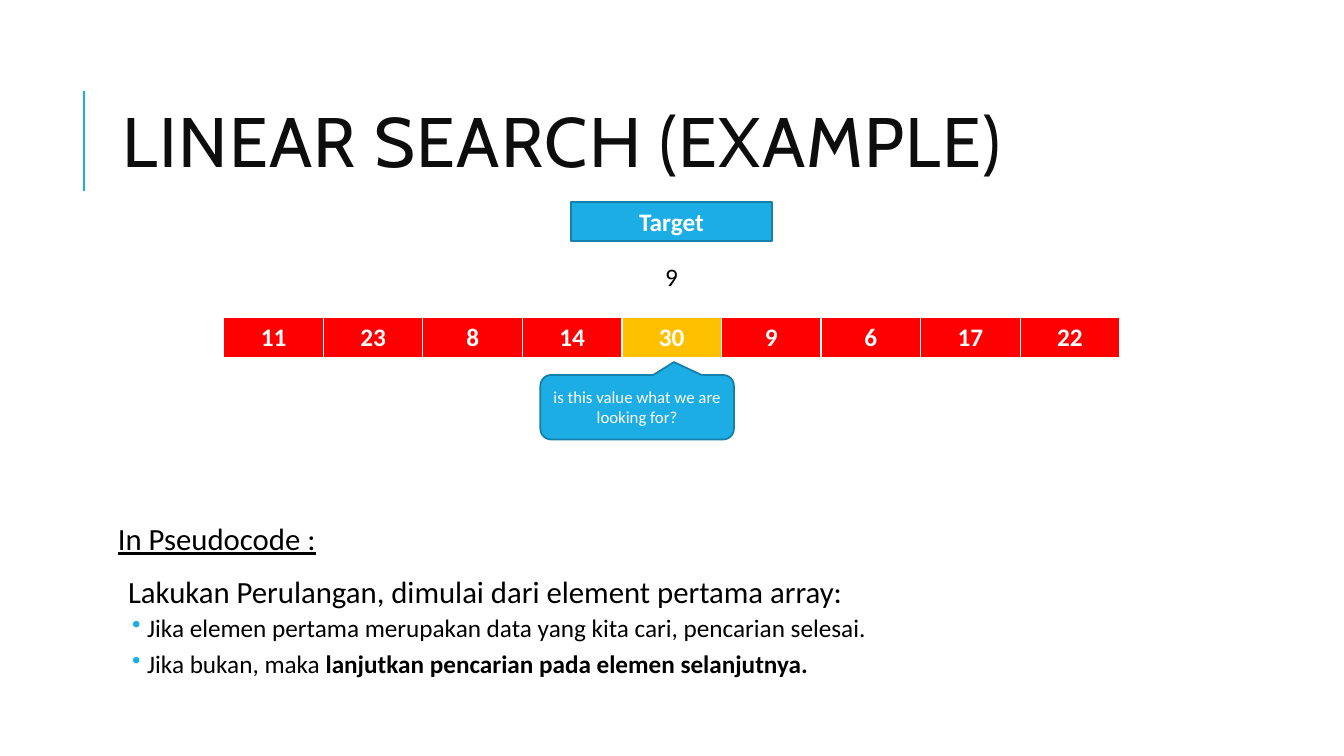
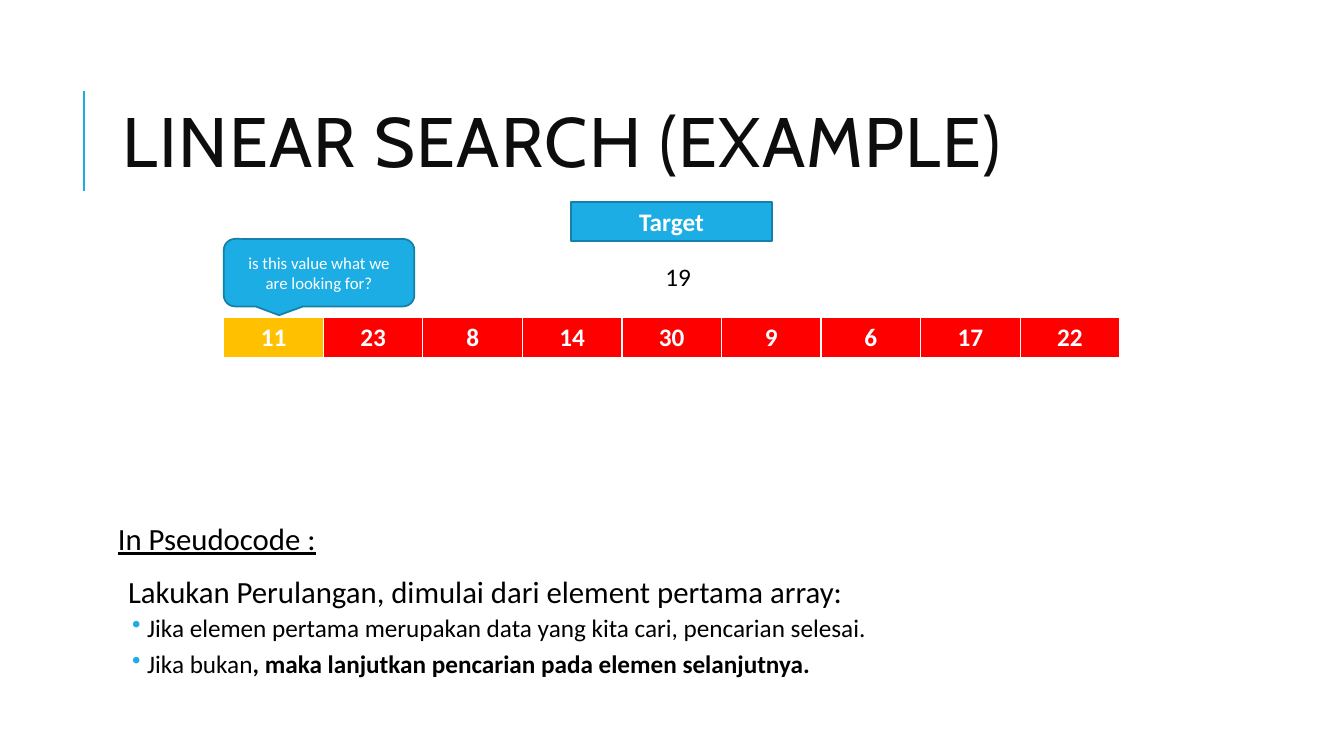
from dataclasses import dataclass

from lxml import etree
from pptx import Presentation
from pptx import util as u
from pptx.dml.color import RGBColor
from pptx.enum import shapes, text
from pptx.oxml import ns


@dataclass(frozen=True)
class Theme:
    width: float = 13.33
    height: float = 7.5
    heading_font: str = "Cabin"
    body_font: str = "Calibri"
    accent: str = "1CADE4"
    outline: str = "1580A9"
    heading: str = "0D0D0D"
    ink: str = "000000"
    paper: str = "FFFFFF"
    cell: str = "FF0000"
    current: str = "FFC000"
    title_size: int = 50
    lead_size: int = 22
    text_size: int = 18
    note_size: int = 12


@dataclass(frozen=True)
class Step:
    target: str
    current: int
    callout_area: tuple
    callout_tip: tuple
    last_rule: tuple


THEME = Theme()
VALUES = ("11", "23", "8", "14", "30", "9", "6", "17", "22")
STEPS = (
    Step("9", 4, (40.21, 49.6, 14.4, 8.53), (0.19, -0.7),
         ("Jika bukan, maka ", "lanjutkan pencarian pada elemen selanjutnya.")),
    Step("19", 0, (16.65, 31.6, 14.18, 8.93), (-0.21, 0.63),
         ("Jika bukan", ", maka lanjutkan pencarian pada elemen selanjutnya.")),
)


def across(percent):
    return u.Inches(THEME.width * percent / 100)


def down(percent):
    return u.Inches(THEME.height * percent / 100)


def place(left, top, width, height):
    return across(left), down(top), across(width), down(height)


def add_run(paragraph, words, size, color, bold=False, underline=False, font=THEME.body_font):
    run = paragraph.add_run()
    run.text = words
    run.font.name = font
    run.font.size = u.Pt(size)
    run.font.color.rgb = RGBColor.from_string(color)
    run.font.bold = bold
    run.font.underline = underline
    return run


def add_text_box(slide, area):
    frame = slide.shapes.add_textbox(*place(*area)).text_frame
    frame.word_wrap = True
    return frame


def add_title(slide, words):
    line = slide.shapes.add_connector(
        shapes.MSO_CONNECTOR.STRAIGHT, across(6.23), down(25.33), across(6.23), down(12))
    line.line.color.rgb = RGBColor.from_string(THEME.accent)
    line.line.width = u.Pt(1.5)
    etree.SubElement(line._element.spPr, ns.qn("a:effectLst"))

    frame = add_text_box(slide, (8.4, 8.53, 79.74, 21.87))
    frame.vertical_anchor = text.MSO_ANCHOR.MIDDLE
    paragraph = frame.paragraphs[0]
    paragraph.line_spacing = 0.8
    run = add_run(paragraph, words, THEME.title_size, THEME.heading, font=THEME.heading_font)
    run.font._element.set("spc", "100")


def add_filled_shape(slide, kind, area, words, size, bold=False):
    shape = slide.shapes.add_shape(kind, *place(*area))
    shape.shadow.inherit = False
    shape.fill.solid()
    shape.fill.fore_color.rgb = RGBColor.from_string(THEME.accent)
    shape.line.color.rgb = RGBColor.from_string(THEME.outline)
    shape.line.width = u.Pt(1.25)
    frame = shape.text_frame
    frame.word_wrap = True
    frame.vertical_anchor = text.MSO_ANCHOR.MIDDLE
    paragraph = frame.paragraphs[0]
    paragraph.alignment = text.PP_ALIGN.CENTER
    add_run(paragraph, words, size, THEME.paper, bold)
    return shape


def add_target(slide, number):
    add_filled_shape(slide, shapes.MSO_SHAPE.RECTANGLE, (42.46, 26.67, 15, 5.2),
                     "Target", THEME.text_size, bold=True)
    frame = add_text_box(slide, (48.76, 33.87, 1.5 + 0.98 * len(number), 5.33))
    frame.word_wrap = False
    add_run(frame.paragraphs[0], number, THEME.text_size, THEME.ink)


def add_callout(slide, area, tip):
    callout = add_filled_shape(slide, shapes.MSO_SHAPE.ROUNDED_RECTANGULAR_CALLOUT, area,
                               "is this value what we are looking for?", THEME.note_size)
    callout.adjustments[0], callout.adjustments[1] = tip


def set_borders(cell, color, widths):
    properties = cell._tc.get_or_add_tcPr()
    for index, (side, width) in enumerate(widths.items()):
        line = etree.Element(ns.qn(f"a:ln{side}"), w=str(u.Pt(width)))
        fill = etree.SubElement(line, ns.qn("a:solidFill"))
        etree.SubElement(fill, ns.qn("a:srgbClr"), val=color)
        properties.insert(index, line)


def add_array(slide, values, current):
    area = place(16.65, 42, 66.69, 5.47)
    table = slide.shapes.add_table(1, len(values), *area).table
    for index, value in enumerate(values):
        cell = table.cell(0, index)
        cell.fill.solid()
        color = THEME.current if index == current else THEME.cell
        cell.fill.fore_color.rgb = RGBColor.from_string(color)
        set_borders(cell, THEME.paper, {"L": 1, "R": 1, "T": 1, "B": 3})
        paragraph = cell.text_frame.paragraphs[0]
        paragraph.alignment = text.PP_ALIGN.CENTER
        add_run(paragraph, value, THEME.text_size, THEME.paper, bold=True)


def format_paragraph(paragraph, before, after, margin=0, hanging=0):
    paragraph.line_spacing = 0.9
    paragraph.space_before = u.Pt(before)
    paragraph.space_after = u.Pt(after)
    properties = paragraph._p.get_or_add_pPr()
    properties.set("marL", str(u.Inches(margin)))
    properties.set("indent", str(-u.Inches(hanging)))
    return properties


def add_bullet(frame, plain, strong=""):
    paragraph = frame.add_paragraph()
    paragraph.level = 1
    properties = format_paragraph(paragraph, 2, 4, margin=0.29, hanging=0.15)
    color = etree.SubElement(properties, ns.qn("a:buClr"))
    etree.SubElement(color, ns.qn("a:srgbClr"), val=THEME.accent)
    etree.SubElement(properties, ns.qn("a:buChar"), char="•")
    add_run(paragraph, plain, THEME.text_size, THEME.ink)
    if strong:
        add_run(paragraph, strong, THEME.text_size, THEME.ink, bold=True)


def add_pseudocode(slide, last_rule):
    frame = add_text_box(slide, (8.4, 68.67, 79.74, 23.33))
    frame.margin_left = frame.margin_right = u.Inches(0.05)
    frame.margin_top = frame.margin_bottom = u.Inches(0.05)
    label = frame.paragraphs[0]
    format_paragraph(label, 0, 2)
    add_run(label, "In Pseudocode :", THEME.lead_size, THEME.ink, underline=True)
    lead = frame.add_paragraph()
    format_paragraph(lead, 12, 2, margin=0.1)
    add_run(lead, "Lakukan Perulangan, dimulai dari element pertama array:",
            THEME.lead_size, THEME.ink)
    add_bullet(frame, "Jika elemen pertama merupakan data yang kita cari, pencarian selesai.")
    add_bullet(frame, *last_rule)


def add_step_slide(presentation, step):
    slide = presentation.slides.add_slide(presentation.slide_layouts[6])
    add_title(slide, "LINEAR SEARCH (EXAMPLE)")
    add_pseudocode(slide, step.last_rule)
    add_target(slide, step.target)
    add_array(slide, VALUES, step.current)
    add_callout(slide, step.callout_area, step.callout_tip)


def main():
    presentation = Presentation()
    presentation.slide_width = u.Inches(THEME.width)
    presentation.slide_height = u.Inches(THEME.height)
    for step in STEPS:
        add_step_slide(presentation, step)
    presentation.save("out.pptx")


if __name__ == "__main__":
    main()
